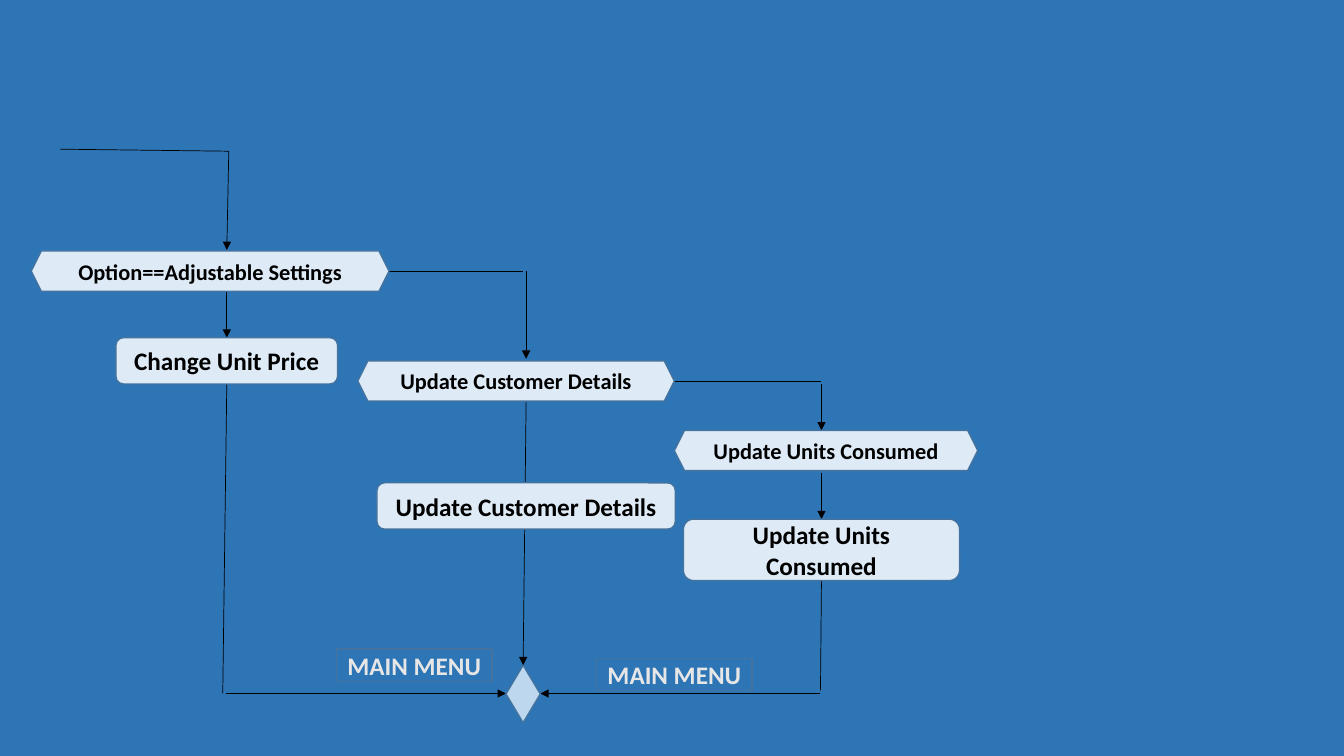
from dataclasses import dataclass

import pptx
import pptx.dml.color
import pptx.enum.shapes
import pptx.enum.text
import pptx.oxml.ns
import pptx.util
from lxml import etree

Pt = pptx.util.Pt
Kind = pptx.enum.shapes.MSO_SHAPE


@dataclass(frozen=True)
class Theme:
    background: str = "2E75B6"
    box: str = "DEEBF7"
    junction: str = "BDD7EE"
    outline: str = "43739E"
    ink: str = "000000"
    label_ink: str = "E7E6E6"
    font: str = "Calibri"
    test_size: float = 16
    step_size: float = 18
    outline_width: float = 1
    flow_width: float = 0.5


THEME = Theme()


@dataclass(frozen=True)
class Node:
    kind: Kind
    left: float
    top: float
    width: float
    height: float
    text: str = ""
    fill: str = THEME.box
    ink: str = THEME.ink
    size: float = THEME.step_size


@dataclass(frozen=True)
class Flow:
    start: tuple[float, float]
    end: tuple[float, float]
    arrow: bool = False


def test(left: float, top: float, width: float, text: str) -> Node:
    return Node(Kind.HEXAGON, left, top, width, 28.8, text, size=THEME.test_size)


def step(left: float, top: float, width: float, text: str, height: float = 33.12) -> Node:
    return Node(Kind.ROUNDED_RECTANGLE, left, top, width, height, text)


def menu_label(left: float, top: float) -> Node:
    return Node(Kind.RECTANGLE, left, top, 110.88, 23.04, "MAIN MENU",
                fill=THEME.background, ink=THEME.label_ink)


FLOWS = [
    # Entry and price branch
    Flow((43.2, 106.56), (163.44, 108)),
    Flow((163.44, 108), (162, 178.56), arrow=True),
    Flow((162, 208.8), (162, 241.2), arrow=True),
    Flow((162, 274.32), (159.12, 495.36)),
    Flow((161.28, 495.36), (361.44, 495.36), arrow=True),
    # Customer branch
    Flow((277.92, 193.68), (373.68, 193.68)),
    Flow((375.84, 193.68), (375.84, 256.32), arrow=True),
    Flow((375.84, 285.84), (373.68, 475.2), arrow=True),
    # Units branch
    Flow((481.68, 272.16), (586.8, 272.16)),
    Flow((586.8, 274.32), (586.8, 307.44), arrow=True),
    Flow((586.8, 337.68), (586.8, 370.8), arrow=True),
    Flow((586.8, 414), (586.08, 493.2)),
    Flow((586.08, 495.36), (385.92, 495.36), arrow=True),
]

NODES = [
    test(22.32, 179.28, 255.6, "Option==Adjustable Settings"),
    step(82.8, 241.2, 158.4, "Change Unit Price"),
    test(255.6, 257.76, 226.08, "Update Customer Details"),
    step(269.28, 344.88, 213.12, "Update Customer Details"),
    test(481.68, 307.44, 216.72, "Update Units Consumed"),
    step(488.16, 370.8, 197.28, "Update Units Consumed", height=43.92),
    Node(Kind.FLOWCHART_DECISION, 361.44, 475.2, 24.48, 41.04, fill=THEME.junction),
    menu_label(240.48, 463.68),
    menu_label(426.24, 470.16),
]


def color(code: str) -> pptx.dml.color.RGBColor:
    return pptx.dml.color.RGBColor.from_string(code)


def write_text(shape, text: str, *, size: float, ink: str, bold: bool = True) -> None:
    frame = shape.text_frame
    frame.word_wrap = True
    frame.vertical_anchor = pptx.enum.text.MSO_ANCHOR.MIDDLE
    para = frame.paragraphs[0]
    para.alignment = pptx.enum.text.PP_ALIGN.CENTER
    span = para.add_run()
    span.text = text
    span.font.name = THEME.font
    span.font.size = Pt(size)
    span.font.bold = bold
    span.font.color.rgb = color(ink)


def draw_node(page, node: Node) -> None:
    box = page.shapes.add_shape(node.kind, Pt(node.left), Pt(node.top),
                                Pt(node.width), Pt(node.height))
    box.shadow.inherit = False
    box.fill.solid()
    box.fill.fore_color.rgb = color(node.fill)
    box.line.color.rgb = color(THEME.outline)
    box.line.width = Pt(THEME.outline_width)
    if node.text:
        write_text(box, node.text, size=node.size, ink=node.ink)


def draw_flow(page, flow: Flow) -> None:
    points = [Pt(value) for value in flow.start + flow.end]
    line = page.shapes.add_connector(pptx.enum.shapes.MSO_CONNECTOR.STRAIGHT, *points)
    line.line.color.rgb = color(THEME.ink)
    line.line.width = Pt(THEME.flow_width)
    properties = line._element.spPr
    if flow.arrow:
        outline = properties.find(pptx.oxml.ns.qn("a:ln"))
        etree.SubElement(outline, pptx.oxml.ns.qn("a:tailEnd"), type="triangle")
    etree.SubElement(properties, pptx.oxml.ns.qn("a:effectLst"))


def main() -> None:
    deck = pptx.Presentation()
    deck.slide_width, deck.slide_height = Pt(960), Pt(540)
    blank_layout = deck.slide_layouts[6]
    page = deck.slides.add_slide(blank_layout)
    page.background.fill.solid()
    page.background.fill.fore_color.rgb = color(THEME.background)

    # Flow lines lie behind the boxes
    for flow in FLOWS:
        draw_flow(page, flow)
    for node in NODES:
        draw_node(page, node)

    deck.save("out.pptx")


if __name__ == "__main__":
    main()
